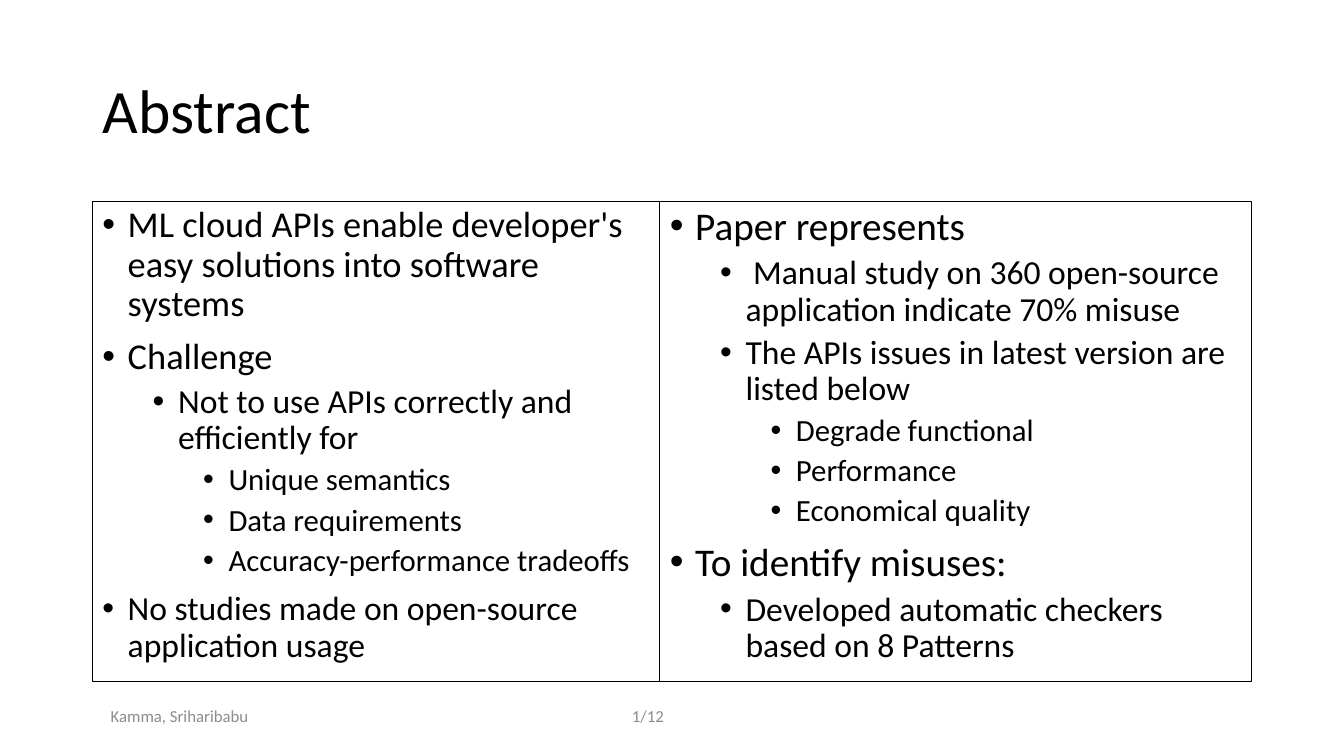
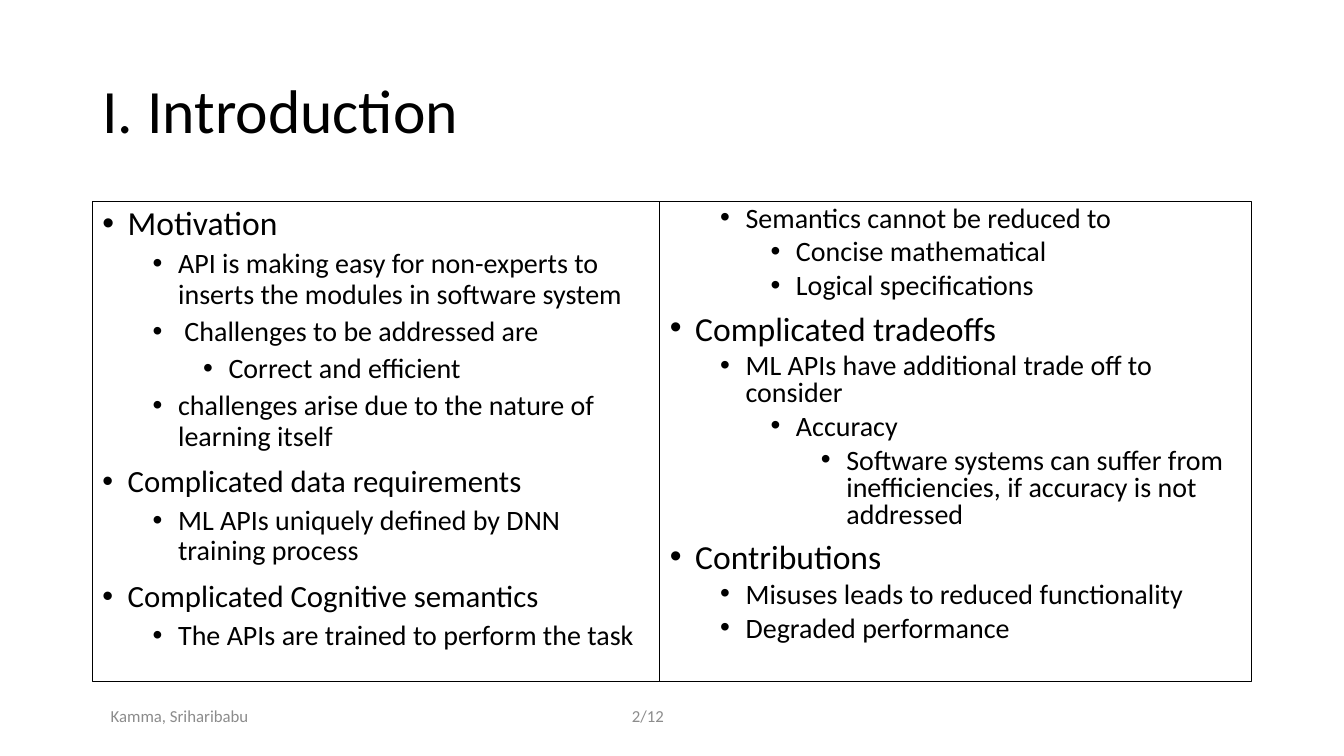
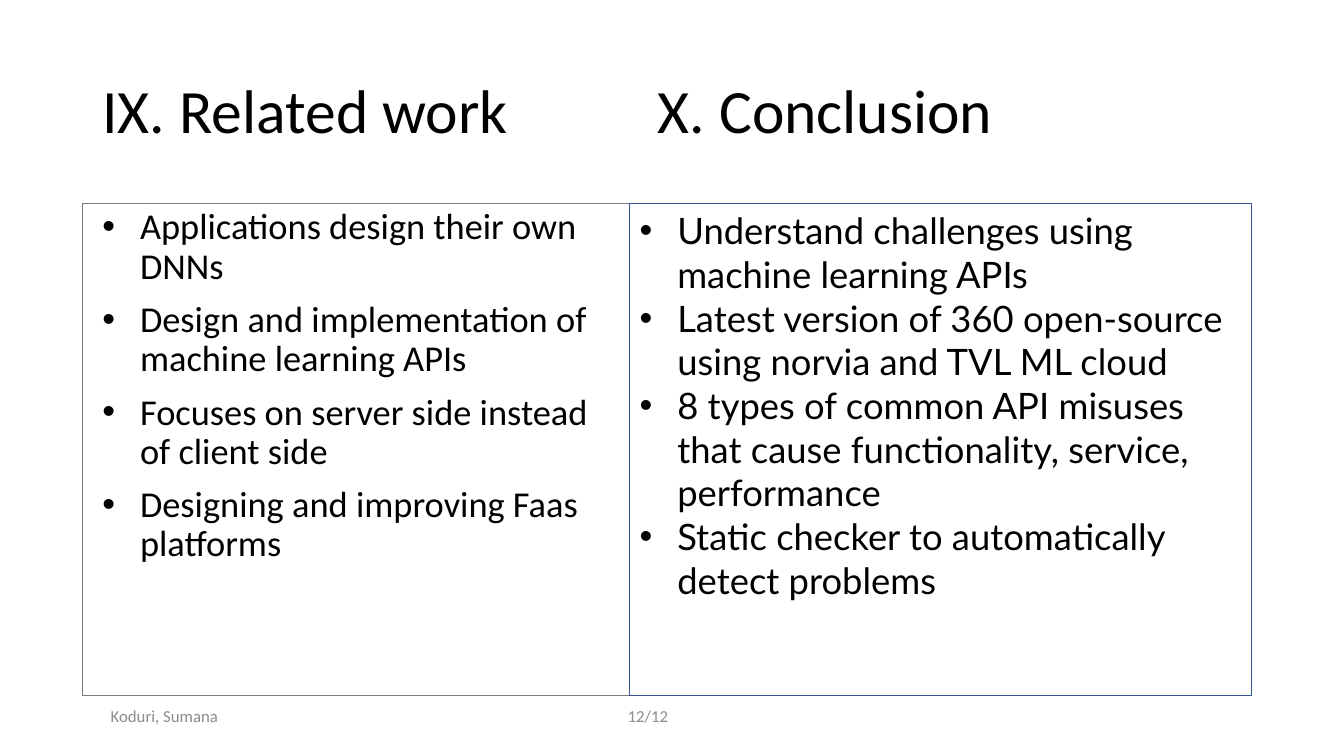
"""Build three two-column slides summarising a paper on misuse of machine learning APIs."""
from dataclasses import dataclass

from lxml import etree
from pptx import Presentation
from pptx.dml.color import RGBColor
from pptx.enum.shapes import MSO_SHAPE
from pptx.enum.text import MSO_ANCHOR, MSO_AUTO_SIZE, PP_ALIGN
from pptx.oxml.ns import qn
from pptx.util import Cm, Pt

RECTANGLE = MSO_SHAPE.RECTANGLE
TOP, MIDDLE = MSO_ANCHOR.TOP, MSO_ANCHOR.MIDDLE
LEFT, CENTER = PP_ALIGN.LEFT, PP_ALIGN.CENTER
NO_AUTOFIT = MSO_AUTO_SIZE.NONE
TITLE_ONLY = 5
PAGE_COUNT = 12


@dataclass(frozen=True)
class Theme:
    font: str = "Calibri"
    accent_font: str = "Lato"
    text: str = "000000"
    muted: str = "8C8C8C"
    gray_line: str = "7A7A7A"
    blue_line: str = "325491"
    title: int = 44
    footer: int = 12


THEME = Theme()


@dataclass
class Panel:
    left: float
    width: float
    bullets: list
    top: float = 5.08
    height: float = 12.09
    line: str = THEME.text
    line_width: float = 0.75
    inset: float = 0.25
    hanging: float = 0.64
    line_spacing: float = 0.9
    space_before: tuple = (10, 5, 5, 5)
    font: str = THEME.font


def format_paragraph(paragraph, text, size, color=THEME.text, font=THEME.font, align=LEFT):
    paragraph.text = text
    paragraph.alignment = align
    paragraph.font.size = Pt(size)
    paragraph.font.name = font
    paragraph.font.color.rgb = RGBColor.from_string(color)


def add_bullet(paragraph, level, hanging):
    paragraph.level = level
    properties = paragraph._p.get_or_add_pPr()
    properties.set("marL", str(Cm(hanging + 1.27 * level)))
    properties.set("indent", str(-Cm(hanging)))
    bullet_font = etree.Element(qn("a:buFont"), typeface="Arial")
    bullet = etree.Element(qn("a:buChar"), char="•")
    default_run = properties.find(qn("a:defRPr"))
    default_run.addprevious(bullet_font)
    default_run.addprevious(bullet)


abstract_left = [
    (0, 26, "ML cloud APIs enable developer's easy solutions into software systems"),
    (0, 26, "Challenge"),
    (1, 24, "Not to use APIs correctly and efficiently for"),
    (2, 22, "Unique semantics"),
    (2, 22, "Data requirements"),
    (2, 22, "Accuracy-performance tradeoffs"),
    (0, 24, "No studies made on open-source application usage"),
]
abstract_right = [
    (0, 28, "Paper represents"),
    (1, 24, " Manual study on 360 open-source application indicate 70% misuse"),
    (1, 24, "The APIs issues in latest version are listed below"),
    (2, 22, "Degrade functional"),
    (2, 22, "Performance"),
    (2, 22, "Economical quality"),
    (0, 28, "To identify misuses:"),
    (1, 24, "Developed automatic checkers based on 8 Patterns"),
]
introduction_left = [
    (0, 24, "Motivation"),
    (1, 20, "API is making easy for non-experts to inserts the modules in software system"),
    (1, 20, " Challenges to be addressed are"),
    (2, 20, "Correct and efficient"),
    (1, 20, "challenges arise due to the nature of learning itself"),
    (0, 22, "Complicated data requirements"),
    (1, 20, "ML APIs uniquely defined by DNN training process"),
    (0, 22, "Complicated Cognitive semantics"),
    (1, 20, "The APIs are trained to perform the task"),
]
introduction_right = [
    (1, 20, "Semantics cannot be reduced to"),
    (2, 20, "Concise mathematical"),
    (2, 20, "Logical specifications"),
    (0, 24, "Complicated tradeoffs"),
    (1, 20, "ML APIs have additional trade off to consider"),
    (2, 20, "Accuracy"),
    (3, 20, "Software systems can suffer from inefficiencies, if accuracy is not addressed"),
    (0, 24, "Contributions"),
    (1, 20, "Misuses leads to reduced functionality"),
    (1, 20, "Degraded performance"),
]
related_work = [
    (0, 26, "Applications design their own DNNs"),
    (0, 26, "Design and implementation of machine learning APIs"),
    (0, 26, "Focuses on server side instead of client side"),
    (0, 26, "Designing and improving Faas platforms"),
]
conclusion = [
    (0, 26, "Understand challenges using machine learning APIs"),
    (0, 26, "Latest version of 360 open-source using norvia and TVL ML cloud"),
    (0, 26, "8 types of common API misuses that cause functionality, service, performance"),
    (0, 26, "Static checker to automatically detect problems"),
]

closing_style = {"top": 5.13, "height": 12.4, "line_width": 1, "hanging": 0.95}
slides = [
    (1, "Kamma, Sriharibabu", [("Abstract", 2.33, 29.21)],
     [Panel(2.33, 14.3, abstract_left), Panel(16.63, 14.91, abstract_right)]),
    (2, "Kamma, Sriharibabu", [("I. Introduction", 2.33, 29.21)],
     [Panel(2.33, 14.3, introduction_left),
      Panel(16.63, 14.91, introduction_right, line_spacing=0.8)]),
    (12, "Koduri, Sumana", [("IX. Related work", 2.33, 13.54), ("X. Conclusion", 16.33, 13.54)],
     [Panel(2.08, 13.79, related_work, line=THEME.gray_line, inset=0.5, **closing_style),
      Panel(15.87, 15.67, conclusion, line=THEME.blue_line, line_spacing=1.0,
            space_before=(0,), font=THEME.accent_font, **closing_style)]),
]

presentation = Presentation()
presentation.slide_width = Cm(33.87)
presentation.slide_height = Cm(19.05)

for page, author, headings, panels in slides:
    slide = presentation.slides.add_slide(presentation.slide_layouts[TITLE_ONLY])

    for index, (heading, left, width) in enumerate(headings):
        bounds = Cm(left), Cm(1.02), Cm(width), Cm(3.68)
        shape = slide.shapes.add_textbox(*bounds) if index else slide.shapes.title
        shape.left, shape.top, shape.width, shape.height = bounds
        frame = shape.text_frame
        frame.word_wrap = True
        frame.auto_size = NO_AUTOFIT
        frame.vertical_anchor = MIDDLE
        format_paragraph(frame.paragraphs[0], heading, THEME.title)
        frame.paragraphs[0].line_spacing = 0.9

    for panel in panels:
        shape = slide.shapes.add_shape(
            RECTANGLE, Cm(panel.left), Cm(panel.top), Cm(panel.width), Cm(panel.height))
        shape.shadow.inherit = False
        shape.fill.background()
        shape.line.color.rgb = RGBColor.from_string(panel.line)
        shape.line.width = Pt(panel.line_width)
        frame = shape.text_frame
        frame.word_wrap = True
        frame.vertical_anchor = TOP
        frame.margin_left = Cm(panel.inset)
        for index, (level, size, text) in enumerate(panel.bullets):
            paragraph = frame.add_paragraph() if index else frame.paragraphs[0]
            format_paragraph(paragraph, text, size, font=panel.font)
            paragraph.line_spacing = panel.line_spacing
            paragraph.space_before = Pt(panel.space_before[level])
            add_bullet(paragraph, level, panel.hanging)

    for text, left, align in ((author, 2.54, LEFT), (f"{page}/{PAGE_COUNT}", 12.52, CENTER)):
        footer = slide.shapes.add_textbox(Cm(left), Cm(17.53), Cm(7.62), Cm(1.02))
        frame = footer.text_frame
        frame.word_wrap = True
        frame.vertical_anchor = MIDDLE
        format_paragraph(frame.paragraphs[0], text, THEME.footer, THEME.muted, align=align)

presentation.save("out.pptx")
